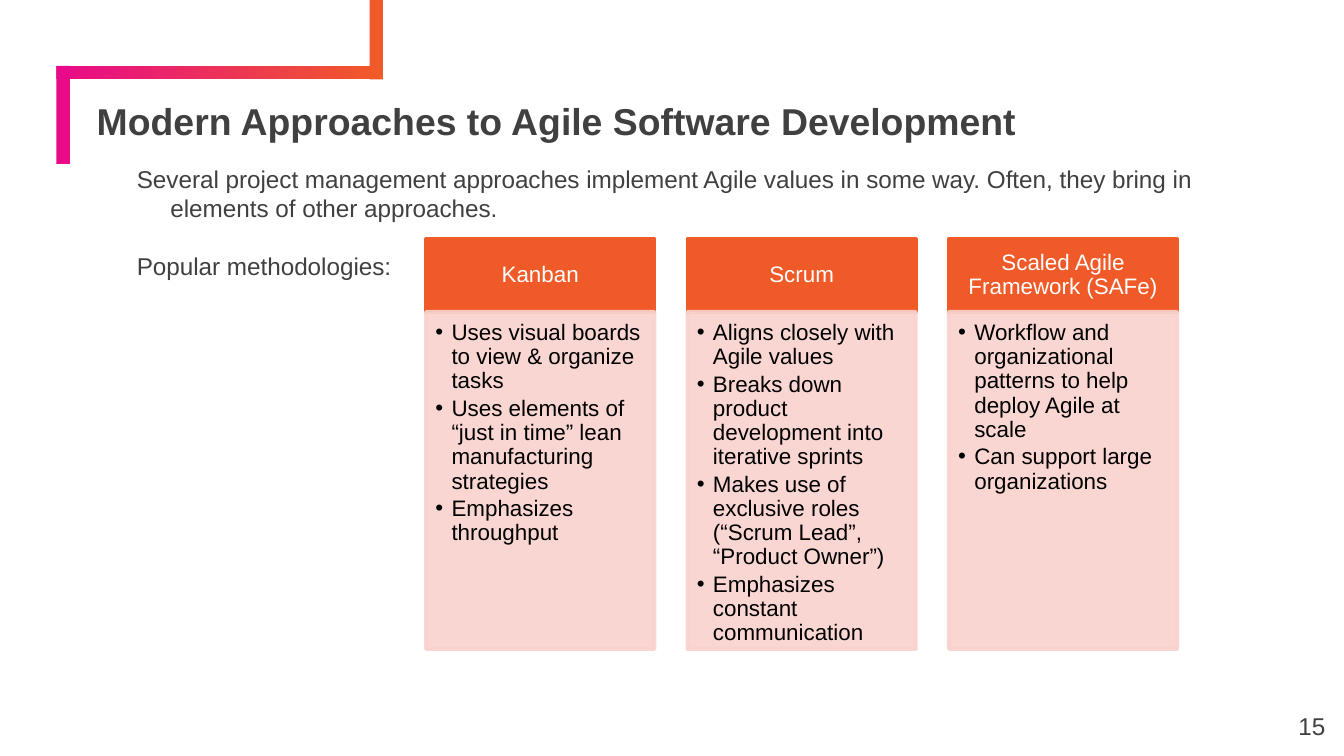
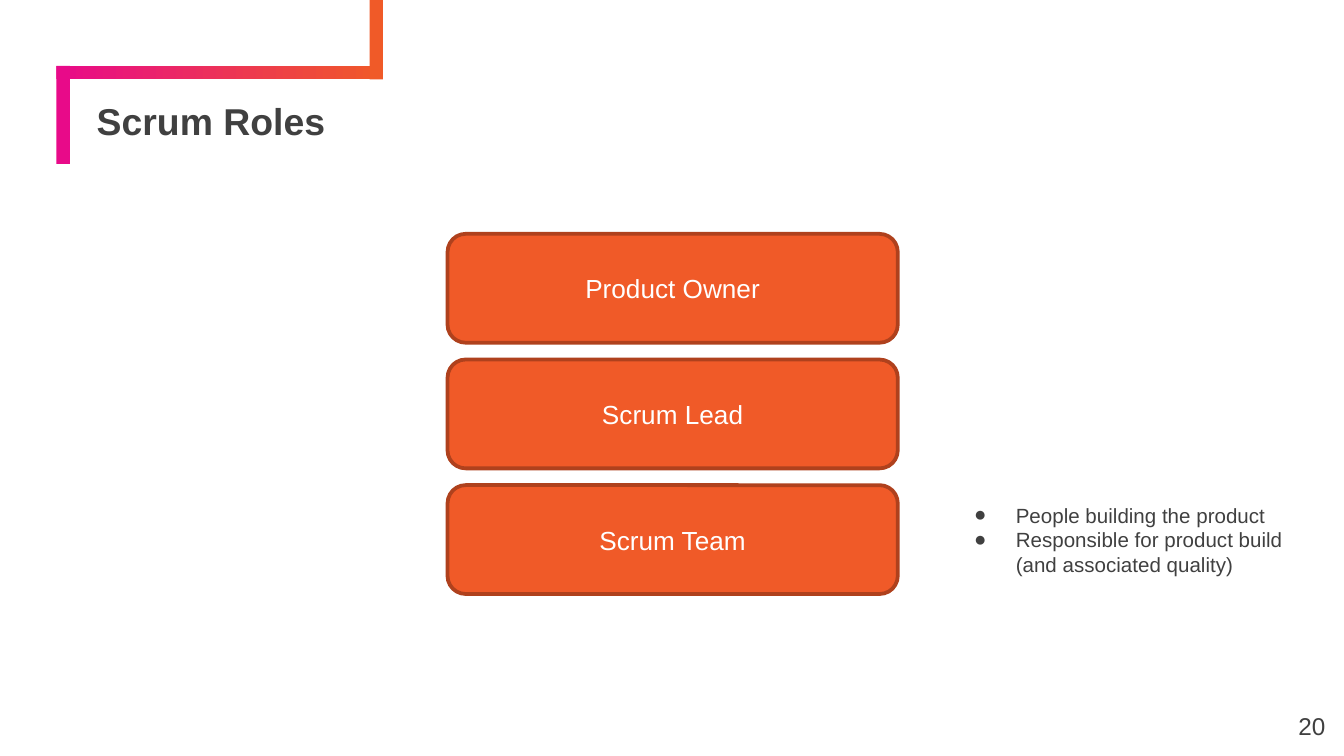
from lxml import etree
from pptx import Presentation
from pptx.dml.color import RGBColor
from pptx.enum import shapes, text
from pptx.oxml.ns import qn
from pptx.util import Inches, Pt

FONT = "Arial"
ORANGE = RGBColor(0xF0, 0x5A, 0x28)
MAGENTA = RGBColor(0xE8, 0x0A, 0x89)
RUST = RGBColor(0xAF, 0x41, 0x1D)
BLUSH = RGBColor(0xF9, 0xD2, 0xCD)
GRAY = RGBColor(0x40, 0x40, 0x40)
BLACK = RGBColor(0, 0, 0)
WHITE = RGBColor(0xFF, 0xFF, 0xFF)

RECT = shapes.MSO_SHAPE.RECTANGLE
ROUNDED = shapes.MSO_SHAPE.ROUNDED_RECTANGLE
LEFT, CENTER, RIGHT = text.PP_ALIGN.LEFT, text.PP_ALIGN.CENTER, text.PP_ALIGN.RIGHT
TOP, MIDDLE, BOTTOM = text.MSO_ANCHOR.TOP, text.MSO_ANCHOR.MIDDLE, text.MSO_ANCHOR.BOTTOM

APPROACHES_TITLE = "Modern Approaches to Agile Software Development"
INTRO = [
    "Several project management approaches implement Agile values in some way. "
    "Often, they bring in elements of other approaches.",
    "Popular methodologies:",
]
METHODOLOGIES = [
    ("Kanban", [
        "Uses visual boards to view & organize tasks",
        "Uses elements of “just in time” lean manufacturing strategies",
        "Emphasizes throughput",
    ]),
    ("Scrum", [
        "Aligns closely with Agile values",
        "Breaks down product development into iterative sprints",
        "Makes use of exclusive roles (“Scrum Lead”, “Product Owner”)",
        "Emphasizes constant communication",
    ]),
    ("Scaled Agile Framework (SAFe)", [
        "Workflow and organizational patterns to help deploy Agile at scale",
        "Can support large organizations",
    ]),
]

ROLES_TITLE = "Scrum Roles"
ROLES = ["Product Owner", "Scrum Lead", "Scrum Team"]
TEAM_DUTIES = [
    "People building the product",
    "Responsible for product build (and associated quality)",
]


def add_box(slide, at, fill, line=None, kind=RECT):
    box = slide.shapes.add_shape(kind, *map(Inches, at))
    box.shadow.inherit = False
    box.fill.solid()
    box.fill.fore_color.rgb = fill
    if line is None:
        box.line.fill.background()
    else:
        box.line.color.rgb = line
        box.line.width = Pt(2)
    return box


def add_textbox(slide, at):
    return slide.shapes.add_textbox(*map(Inches, at))


def add_bullet(props, bullet):
    """Put a bullet in the text font before the default run properties."""
    run_props = props.find(qn("a:defRPr"))
    run_props.addprevious(etree.Element(qn("a:buFont"), typeface=FONT))
    run_props.addprevious(etree.Element(qn("a:buChar"), char=bullet))


def write(shape, lines, size, color, insets, align=LEFT, anchor=TOP, bold=False,
          spacing=1.0, before=0, after=0, indent=None, bullet=None):
    """Fill a shape with paragraphs; indent is (left margin, first line) in inches."""
    frame = shape.text_frame
    frame.word_wrap = True
    frame.vertical_anchor = anchor
    (frame.margin_left, frame.margin_top,
     frame.margin_right, frame.margin_bottom) = map(Inches, insets)
    for i, line in enumerate(lines):
        paragraph = frame.add_paragraph() if i else frame.paragraphs[0]
        paragraph.text = line
        paragraph.alignment = align
        paragraph.line_spacing = spacing
        paragraph.space_before = Pt(before if i else 0)
        paragraph.space_after = Pt(after)
        font = paragraph.font
        font.name, font.size, font.bold = FONT, Pt(size), bold
        font.color.rgb = color
        props = paragraph._p.get_or_add_pPr()
        if indent:
            props.set("marL", str(Inches(indent[0])))
            props.set("indent", str(Inches(indent[1])))
        if bullet:
            add_bullet(props, bullet)


def make_translucent(shape, percent):
    for color in shape._element.spPr.iter(qn("a:srgbClr")):
        etree.SubElement(color, qn("a:alpha"), val=str(percent * 1000))


def add_slide(deck, title, number):
    """Start a slide with the corner band, title and page number."""
    slide = deck.slides.add_slide(deck.slide_layouts[6])
    band = add_box(slide, (0.42, 0.49, 2.43, 0.1), MAGENTA)
    band.fill.gradient()
    band.fill.gradient_angle = 0
    for stop, color in zip(band.fill.gradient_stops, (MAGENTA, ORANGE)):
        stop.color.rgb = color
    add_box(slide, (0.42, 0.49, 0.1, 0.73), MAGENTA)
    add_box(slide, (2.75, 0, 0.1, 0.59), ORANGE)
    write(add_textbox(slide, (0.67, 0.78, 9.03, 0.34)), [title], 20, GRAY,
          [0.05] * 4, anchor=BOTTOM, bold=True, spacing=0.9)
    write(add_textbox(slide, (9.36, 5.19, 0.6, 0.43)), [str(number)], 13, GRAY,
          [0.1] * 4, align=RIGHT)
    return slide


def build_approaches(deck):
    slide = add_slide(deck, APPROACHES_TITLE, 15)
    write(add_textbox(slide, (0.67, 1.12, 8.34, 4.32)), INTRO, 13, GRAY,
          [0.1] * 4, before=15.5, indent=(0.5, -0.25))
    left, right, top, width = 3.17, 8.76, 1.78, 1.7
    head_height, body_height = 0.54, 2.51
    pitch = (right - left - width) / (len(METHODOLOGIES) - 1)
    for i, (name, traits) in enumerate(METHODOLOGIES):
        x = left + i * pitch
        head = add_box(slide, (x, top, width, head_height), ORANGE, ORANGE)
        write(head, [name], 12, WHITE, (0.09, 0.05, 0.09, 0.05),
              align=CENTER, anchor=MIDDLE, spacing=0.9)
        body = add_box(slide, (x, top + head_height, width, body_height), BLUSH, BLUSH)
        make_translucent(body, 90)
        write(body, traits, 12, BLACK, (0.07, 0.07, 0.09, 0.1), spacing=0.9,
              after=1.8, indent=(0.12, -0.12), bullet="•")


def build_roles(deck):
    slide = add_slide(deck, ROLES_TITLE, 20)
    top, bottom, height = 1.74, 4.42, 0.81
    pitch = (bottom - top - height) / (len(ROLES) - 1)
    for i, role in enumerate(ROLES):
        box = add_box(slide, (3.33, top + i * pitch, 3.35, height), ORANGE, RUST, ROUNDED)
        write(box, [role], 14, WHITE, (0.1, 0.05, 0.1, 0.05),
              align=CENTER, anchor=MIDDLE)
    write(add_textbox(slide, (6.9, 3.64, 2.76, 0.74)), TEAM_DUTIES, 11, GRAY,
          [0.1] * 4, indent=(0.56, -0.31), bullet="●")


def main():
    deck = Presentation()
    deck.slide_width = Inches(10)
    deck.slide_height = deck.slide_width * 9 // 16
    build_approaches(deck)
    build_roles(deck)
    deck.save("out.pptx")


if __name__ == "__main__":
    main()
